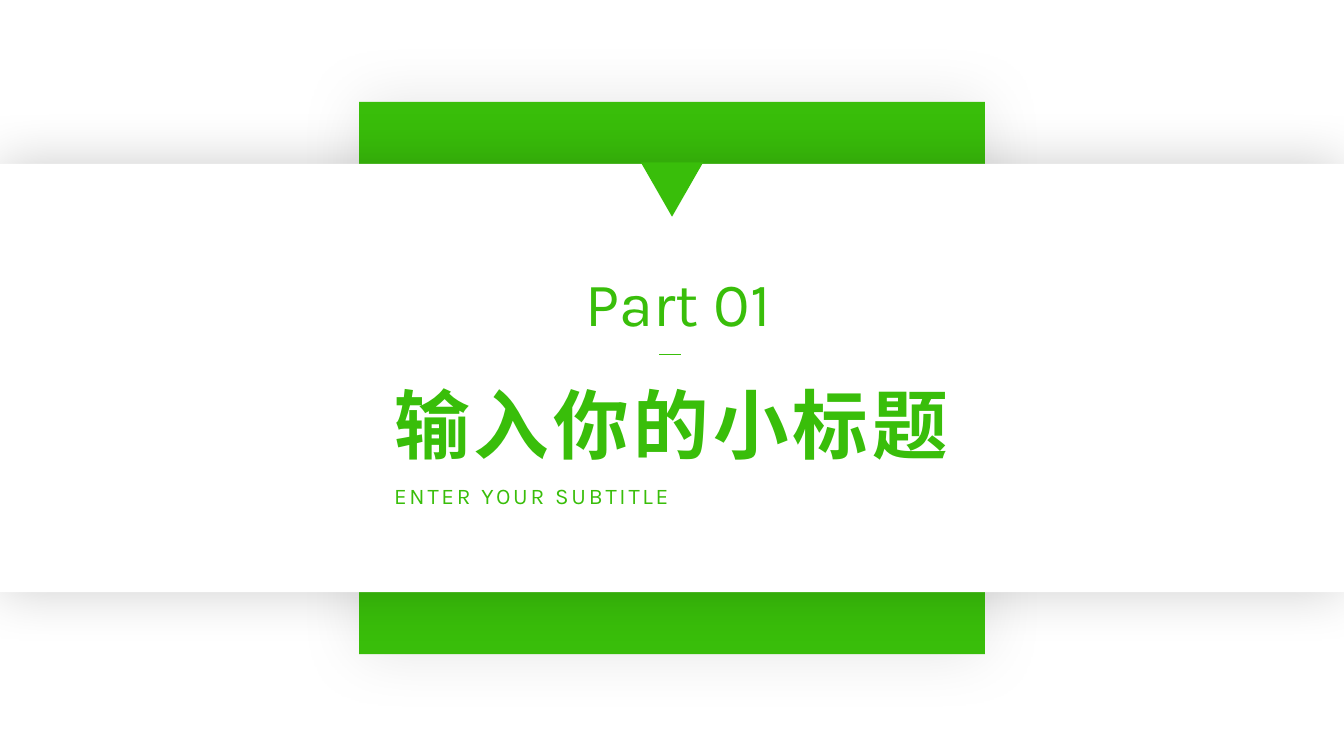
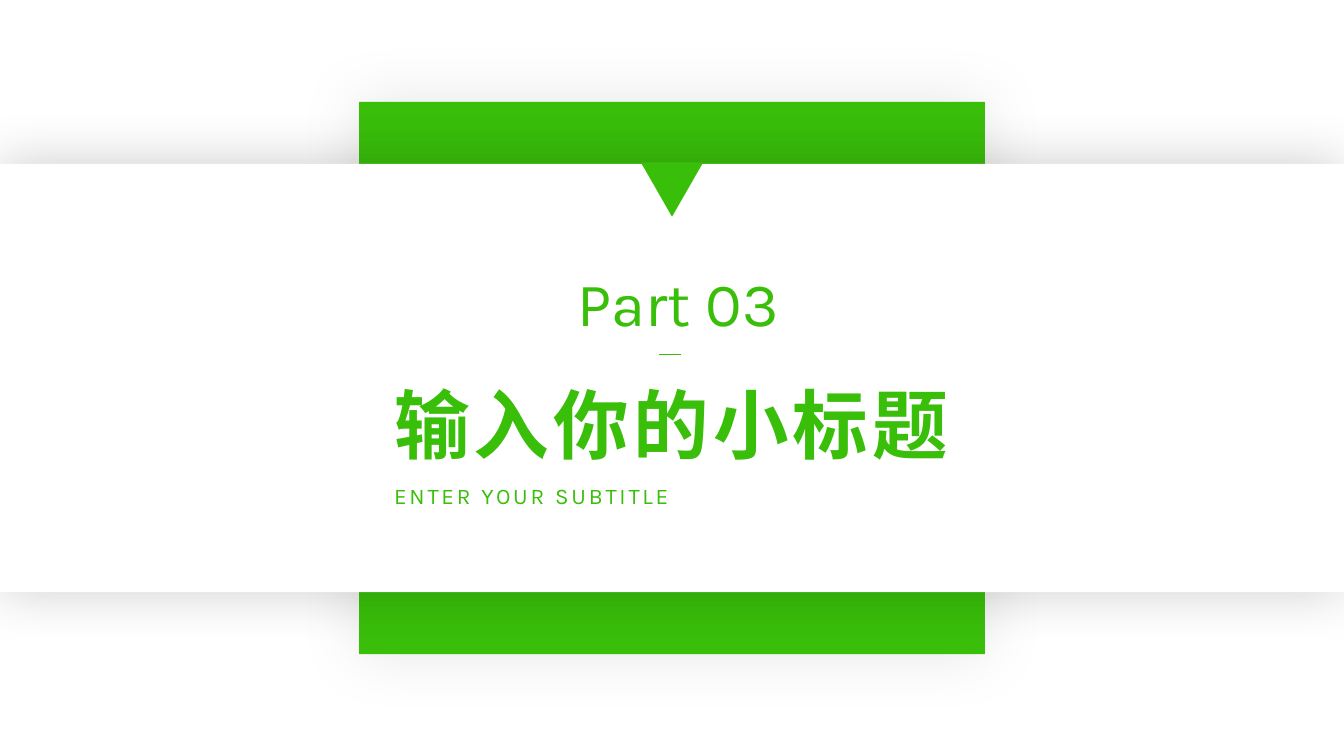
"""Build the section divider slides of a green and white presentation."""
import dataclasses

import lxml.etree
import pptx
import pptx.dml.color
import pptx.enum.shapes
import pptx.enum.text
import pptx.oxml
import pptx.oxml.ns
import pptx.util

Pt = pptx.util.Pt
qn = pptx.oxml.ns.qn
SHAPES = pptx.enum.shapes.MSO_SHAPE
ALIGN = pptx.enum.text.PP_ALIGN


@dataclasses.dataclass(frozen=True)
class Theme:
    width: float = 960
    height: float = 540
    green: str = "39BE0A"
    white: str = "FFFFFF"
    shadow: str = "000000"
    latin_font: str = "Karla"
    chinese_font: str = "Noto Sans CJK SC"
    part_size: float = 44
    title_size: float = 54
    subtitle_size: float = 16


THEME = Theme()
PARTS = ("Part 01", "Part 03")
TITLE = "输入你的小标题"
SUBTITLE = "ENTER YOUR SUBTITLE"


def set_values(target, values):
    for name, value in values.items():
        setattr(target, name, value)


def rgb(colour):
    return pptx.dml.color.RGBColor.from_string(colour)


def centred(width, height):
    return (THEME.width - width) / 2, (THEME.height - height) / 2, width, height


def add_block(slide, kind, box, colour, rotation=0):
    shape = slide.shapes.add_shape(kind, *map(Pt, box))
    shape.fill.solid()
    shape.fill.fore_color.rgb = rgb(colour)
    shape.line.fill.background()
    shape.shadow.inherit = False
    shape.rotation = rotation
    return shape


def add_glow_shadow(shape, opacity, blur):
    shadow = pptx.oxml.parse_xml(
        f'<a:outerShdw {pptx.oxml.ns.nsdecls("a")} blurRad="{Pt(blur)}" '
        f'algn="ctr" rotWithShape="0"><a:srgbClr val="{THEME.shadow}">'
        f'<a:alpha val="{opacity * 1000}"/></a:srgbClr></a:outerShdw>'
    )
    shape.element.spPr.find(qn("a:effectLst")).append(shadow)


def add_dash(slide, left, right, top):
    dash = slide.shapes.add_connector(
        pptx.enum.shapes.MSO_CONNECTOR.STRAIGHT, Pt(left), Pt(top), Pt(right), Pt(top)
    )
    dash.line.width = Pt(1)
    dash.line.color.rgb = rgb(THEME.green)
    lxml.etree.SubElement(dash.element.spPr, qn("a:effectLst"))


def write_text(shape, box, text, size, font, align, bold=False, spacing=0):
    set_values(shape, dict(zip(("left", "top", "width", "height"), map(Pt, box))))
    frame = shape.text_frame
    frame.text = text
    set_values(frame, {
        "word_wrap": True,
        "auto_size": pptx.enum.text.MSO_AUTO_SIZE.SHAPE_TO_FIT_TEXT,
        "vertical_anchor": pptx.enum.text.MSO_ANCHOR.TOP,
    })
    paragraph = frame.paragraphs[0]
    set_values(paragraph, {"alignment": align, "space_before": Pt(0)})
    run = paragraph.runs[0]
    set_values(run.font, {"size": Pt(size), "bold": bold, "name": font})
    run.font.color.rgb = rgb(THEME.green)
    for properties in shape.element.iter(qn("a:rPr")):
        properties.set("spc", str(spacing * 100))
        east_asian = lxml.etree.SubElement(properties, qn("a:ea"))
        east_asian.set("typeface", THEME.chinese_font)


def bring_to_front(shape):
    shape.element.getparent().append(shape.element)


def add_backdrop(slide):
    panel = add_block(slide, SHAPES.RECTANGLE, centred(447, 394.5), THEME.green)
    add_glow_shadow(panel, 10, 45)
    band = add_block(slide, SHAPES.RECTANGLE, centred(THEME.width, 306), THEME.white)
    add_glow_shadow(band, 20, 40)
    add_block(slide, SHAPES.ISOSCELES_TRIANGLE, (457.7, 115.9, 44.6, 38.9),
              THEME.green, rotation=180)


def add_divider(presentation, part):
    slide = presentation.slides.add_slide(presentation.slide_layouts[0])
    add_backdrop(slide)
    write_text(slide.shapes.add_textbox(0, 0, 0, 0), (379.4, 185.8, 210.2, 60.5),
               part, THEME.part_size, THEME.latin_font, ALIGN.CENTER)
    add_dash(slide, 470.9, 486.7, 253.4)
    title, subtitle = slide.shapes.title, slide.placeholders[1]
    write_text(title, (259.2, 266.4, 440.6, 72.7), TITLE, THEME.title_size,
               THEME.chinese_font, ALIGN.CENTER, bold=True, spacing=3)
    write_text(subtitle, (274.3, 340.6, 411.1, 26.6), SUBTITLE, THEME.subtitle_size,
               THEME.latin_font, ALIGN.JUSTIFY, spacing=2)
    for placeholder in (title, subtitle):
        bring_to_front(placeholder)


def main():
    presentation = pptx.Presentation()
    set_values(presentation, {
        "slide_width": Pt(THEME.width), "slide_height": Pt(THEME.height),
    })
    for part in PARTS:
        add_divider(presentation, part)
    presentation.save("out.pptx")


if __name__ == "__main__":
    main()
